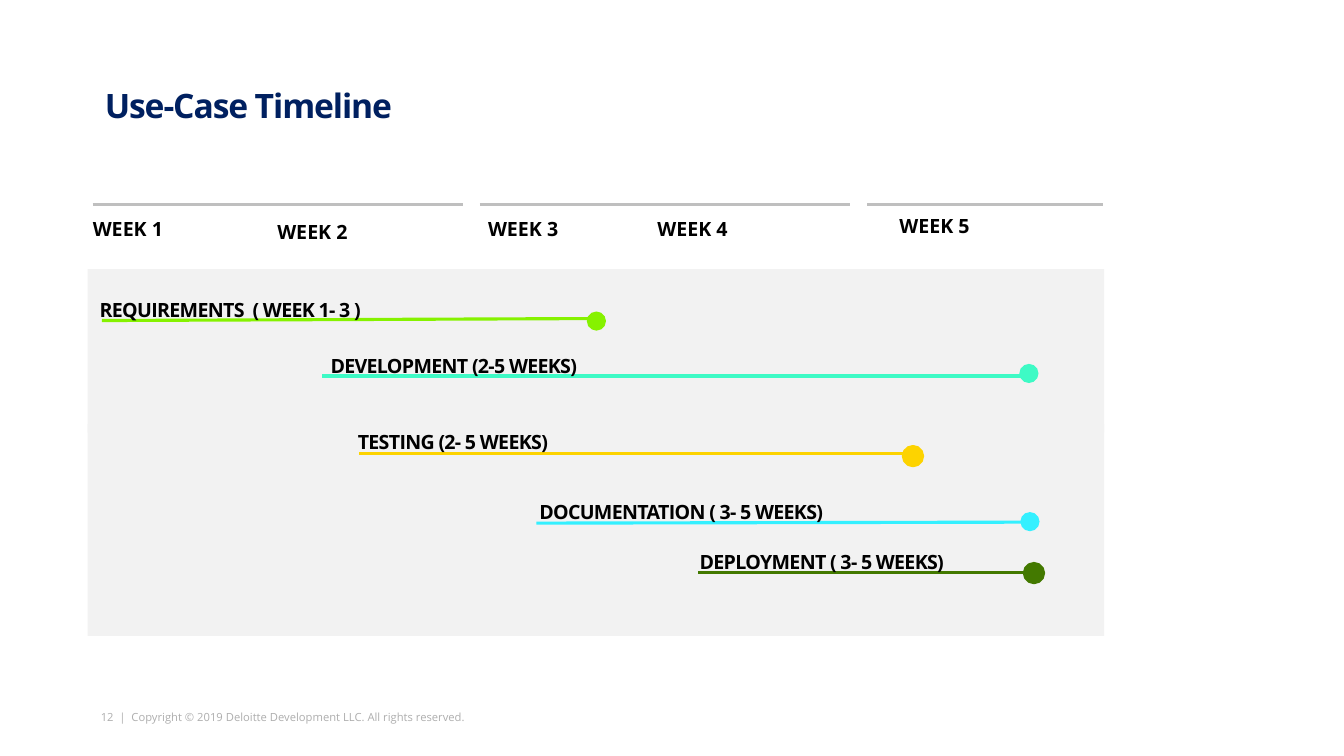
from dataclasses import dataclass

from lxml.etree import SubElement
from pptx import Presentation
from pptx.dml.color import RGBColor
from pptx.enum.shapes import MSO_CONNECTOR, MSO_SHAPE
from pptx.enum.text import MSO_ANCHOR, PP_ALIGN
from pptx.oxml.ns import qn
from pptx.util import Pt

PX = 9144


@dataclass(frozen=True)
class Theme:
    font: str = "Open Sans"
    title: str = "002060"
    text: str = "000000"
    footer: str = "AEAEAE"
    rule: str = "BFBFBF"
    panel: str = "F2F2F2"
    title_size: int = 24
    label_size: int = 14
    footer_size: int = 8
    line_width: float = 2.25


THEME = Theme()

WEEK_RULES = [(0, 367), (384, 751), (768, 1002)]
WEEKS = [
    ("WEEK 1", 0, 0, 335),
    ("WEEK 2", 183, 3, 335),
    ("WEEK 3", 392, 0, 335),
    ("WEEK 4", 560, 0, 335),
    ("WEEK 5", 800, -3, 243),
]
PHASES = [
    # label, colour, label box, line start and end, dot corner, dot outlined
    ("REQUIREMENTS  ( WEEK 1- 3 )", "86F200", (2, 11, 549), (14, 51), (509, 49), (495, 42), False),
    ("DEVELOPMENT (2-5 WEEKS)", "3EFAC5", (231, 66, 667), (232, 106), (935, 106), (924, 94), False),
    ("TESTING (2- 5 WEEKS)", "FDD300", (258, 142, 549), (269, 183), (811, 183), (809, 176), True),
    ("DOCUMENTATION ( 3- 5 WEEKS)", "34F0FF", (438, 211, 368), (445, 252), (932, 251), (925, 241), False),
    ("DEPLOYMENT ( 3- 5 WEEKS)", "437900", (597, 261, 368), (605, 301), (929, 301), (929, 292), True),
]


def px(*values):
    return [value * PX for value in values]


def set_text(sp, text, size, color, bold=True, spacing=1.0, tracking=0,
             insets=(0, 0, 0, 0), anchor=MSO_ANCHOR.MIDDLE, wrap=True):
    tf = sp.text_frame
    tf.word_wrap = wrap
    tf.vertical_anchor = anchor
    tf.margin_left, tf.margin_top, tf.margin_right, tf.margin_bottom = px(*insets)
    p = tf.paragraphs[0]
    p.alignment = PP_ALIGN.LEFT
    p.line_spacing = spacing
    p.font.name = THEME.font
    p.font.size = Pt(size)
    p.font.bold = bold
    p.font.color.rgb = RGBColor.from_string(color)
    r = p.add_run()
    r.text = text
    if tracking:
        r._r.get_or_add_rPr().set("spc", str(tracking))


def add_label(slide, box, text, size, color, **style):
    sp = slide.shapes.add_textbox(*px(*box))
    set_text(sp, text, size, color, **style)


def add_filled(slide, kind, box, color, outlined=False):
    sp = slide.shapes.add_shape(kind, *px(*box))
    sp.shadow.inherit = False
    sp.fill.solid()
    sp.fill.fore_color.rgb = RGBColor.from_string(color)
    if outlined:
        sp.line.color.rgb = RGBColor.from_string(color)
        sp.line.width = Pt(THEME.line_width)
    else:
        sp.line.fill.background()


def add_line(slide, start, end, color):
    line = slide.shapes.add_connector(MSO_CONNECTOR.STRAIGHT, *px(*start, *end))
    line.line.color.rgb = RGBColor.from_string(color)
    line.line.width = Pt(THEME.line_width)
    SubElement(line._element.spPr, qn("a:effectLst"))


def add_title(slide, box):
    title = slide.shapes.title
    title.left, title.top, title.width, title.height = px(*box)
    set_text(title, "Use-Case Timeline", THEME.title_size, THEME.title,
             spacing=0.8, tracking=-80, insets=(0, 5, 0, 0), anchor=MSO_ANCHOR.BOTTOM)


def add_week_header(slide, box):
    x, y, _, h = box
    for start, end in WEEK_RULES:
        add_line(slide, (x + start, y), (x + end, y), THEME.rule)
    for week, dx, dy, w in WEEKS:
        add_label(slide, (x + dx, y + dy, w, h), week, THEME.label_size, THEME.text,
                  spacing=0.85, insets=(0, 10, 10, 10))


def add_phases(slide, box):
    x, y, w, h = box
    upper, lower_top = 162, 154
    add_filled(slide, MSO_SHAPE.RECTANGLE, (x, y + lower_top, w, h - lower_top), THEME.panel)
    add_filled(slide, MSO_SHAPE.RECTANGLE, (x, y, w, upper), THEME.panel)
    for text, color, label, start, end, dot, outlined in PHASES:
        add_line(slide, (x + end[0], y + end[1]), (x + start[0], y + start[1]), color)
        add_filled(slide, MSO_SHAPE.OVAL, (x + dot[0], y + dot[1], 19, 19), color, outlined)
        add_label(slide, (x + label[0], y + label[1], label[2], 52), text,
                  THEME.label_size, THEME.text, spacing=1.3, tracking=-50,
                  insets=(10, 10, 10, 10))


def add_footer(slide, box):
    add_label(slide, box, "12  |  Copyright © 2019 Deloitte Development LLC. All rights reserved.",
              THEME.footer_size, THEME.footer, bold=False, anchor=MSO_ANCHOR.TOP, wrap=False)


def main():
    prs = Presentation()
    prs.slide_width, prs.slide_height = px(1333, 750)
    slide = prs.slides.add_slide(prs.slide_layouts[5])
    add_title(slide, (104, 59, 1133, 65))
    add_week_header(slide, (92, 203, 1002, 52))
    add_phases(slide, (87, 267, 1008, 364))
    add_footer(slide, (100, 705, 366, 13))
    prs.save("out.pptx")


if __name__ == "__main__":
    main()
